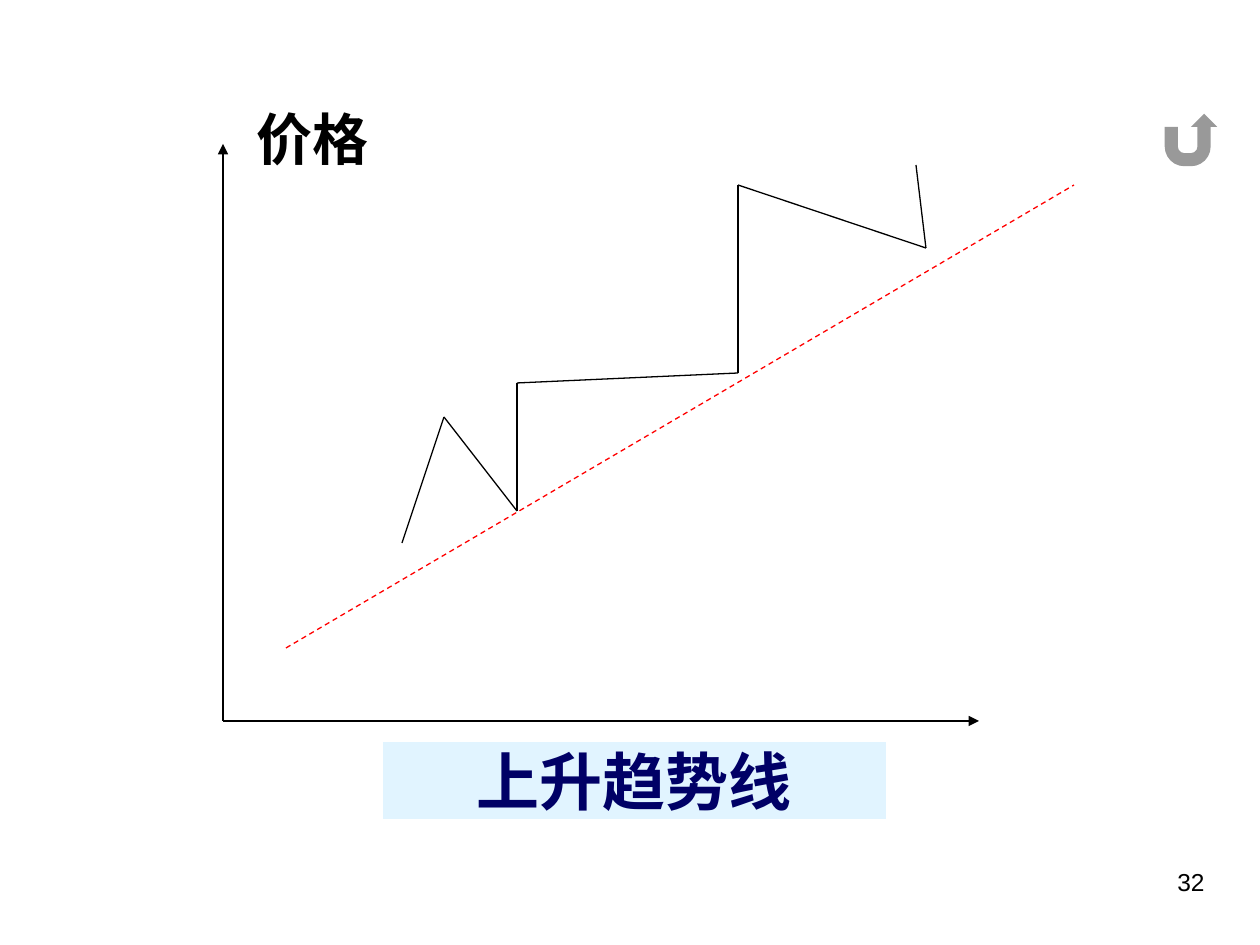
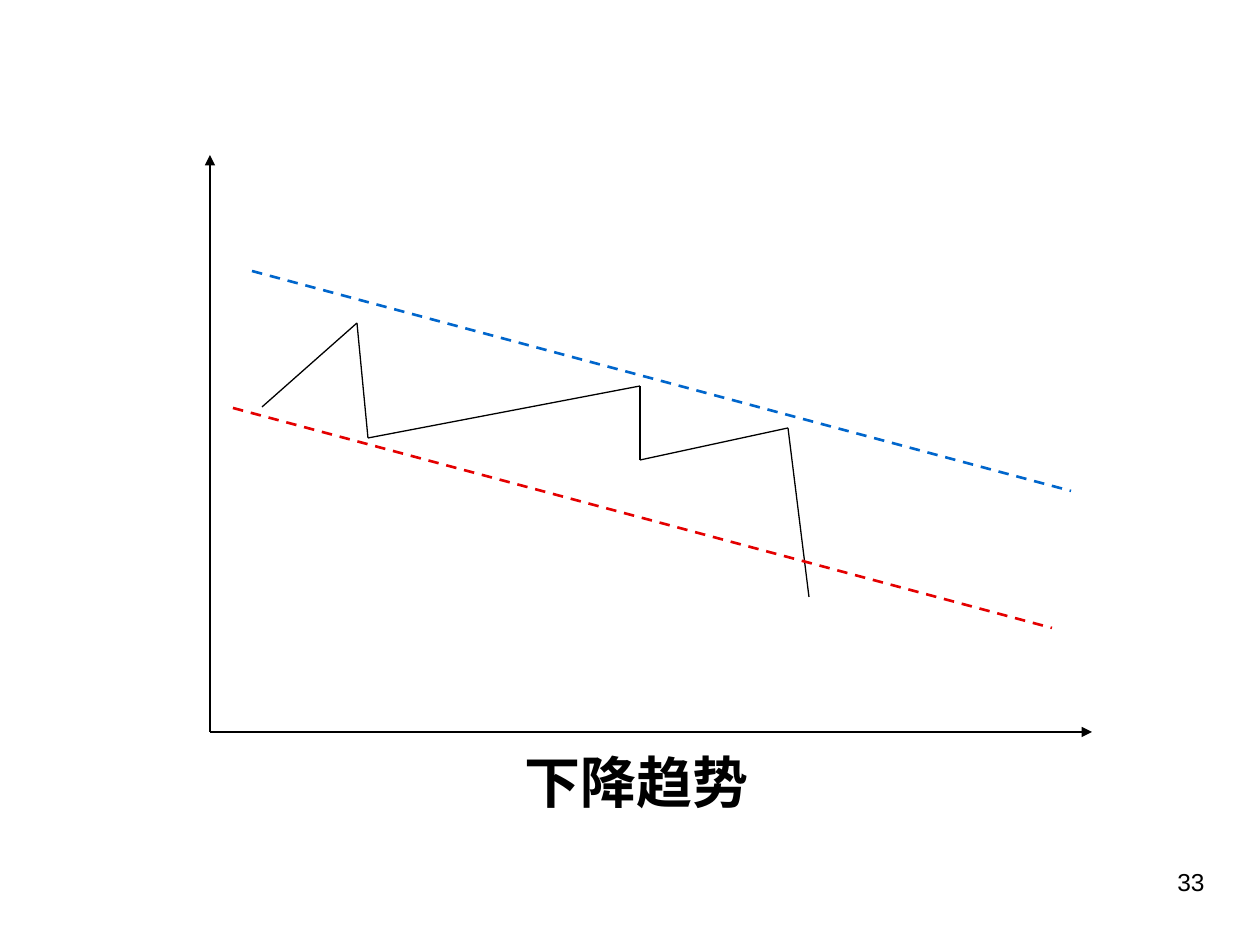
from dataclasses import dataclass
from itertools import pairwise

from lxml import etree
from pptx import Presentation
from pptx.dml.color import RGBColor
from pptx.enum.dml import MSO_LINE
from pptx.enum.shapes import MSO_CONNECTOR, MSO_SHAPE
from pptx.enum.text import MSO_ANCHOR, PP_ALIGN
from pptx.oxml.ns import qn
from pptx.util import Emu, Pt

STRAIGHT = MSO_CONNECTOR.STRAIGHT
RECT = MSO_SHAPE.RECTANGLE
RETURN_BUTTON = MSO_SHAPE.ACTION_BUTTON_RETURN
DASH = MSO_LINE.DASH
LEFT, CENTER, RIGHT = PP_ALIGN.LEFT, PP_ALIGN.CENTER, PP_ALIGN.RIGHT
MIDDLE = MSO_ANCHOR.MIDDLE
PX_PER_INCH = 126


@dataclass(frozen=True)
class Theme:
    ink: str = "000000"
    paper: str = "FFFFFF"
    band: str = "E1F4FF"
    navy: str = "000066"
    trend: str = "FF0000"
    upper: str = "0066CC"
    lower: str = "E40000"
    heading_font: str = "Times New Roman"
    number_font: str = "Arial"
    band_size: int = 36
    label_size: int = 32
    number_size: int = 14
    thin: float = 0.75
    thick: float = 1.5


THEME = Theme()


def px(n):
    return Emu(round(n * 914400 / PX_PER_INCH))


def box_px(box):
    return [px(n) for n in box]


def rgb(color):
    return RGBColor.from_string(color)


def write(tf, text, size, color=THEME.ink, font=THEME.heading_font,
          bold=True, align=LEFT):
    p = tf.paragraphs[0]
    p.text = text
    p.alignment = align
    r = p.runs[0]
    r.font.name = font
    r.font.size = Pt(size)
    r.font.bold = bold
    r.font.color.rgb = rgb(color)
    return p


def add_label(s, box, text, line_spacing=1.0):
    tf = s.shapes.add_textbox(*box_px(box)).text_frame
    tf.word_wrap = True
    write(tf, text, THEME.label_size).line_spacing = line_spacing


def add_page_number(s, number):
    tf = s.shapes.add_textbox(*box_px((902, 861, 315, 66))).text_frame
    tf.word_wrap = True
    write(tf, str(number), THEME.number_size, font=THEME.number_font,
          bold=False, align=RIGHT)


def add_line(s, start, end, color=THEME.ink, width=THEME.thin,
             dash=None, arrow=False):
    line = s.shapes.add_connector(STRAIGHT, *box_px(start + end))
    line.line.color.rgb = rgb(color)
    line.line.width = Pt(width)
    if dash:
        line.line.dash_style = dash
    if arrow:
        etree.SubElement(line.line._get_or_add_ln(), qn("a:tailEnd"),
                         type="triangle")
    etree.SubElement(line._element.spPr, qn("a:effectLst"))


def add_axes(s, origin, right, top):
    x, y = origin
    for end in ((right, y), (x, top)):
        add_line(s, origin, end, arrow=True)


def add_price_path(s, points):
    for start, end in pairwise(points):
        add_line(s, start, end)


def add_title_band(s, box, text):
    sp = s.shapes.add_shape(RECT, *box_px(box))
    sp.shadow.inherit = False
    sp.fill.solid()
    sp.fill.fore_color.rgb = rgb(THEME.band)
    sp.line.color.rgb = rgb(THEME.paper)
    sp.line.width = Pt(THEME.thin)
    tf = sp.text_frame
    tf.word_wrap = False
    tf.vertical_anchor = MIDDLE
    write(tf, text, THEME.band_size, THEME.navy, align=CENTER)


def add_return_button(s, box):
    sp = s.shapes.add_shape(RETURN_BUTTON, *box_px(box))
    sp.shadow.inherit = False
    sp.fill.solid()
    sp.fill.fore_color.rgb = rgb(THEME.paper)
    sp.line.fill.background()


def build_rising_trend(s):
    add_label(s, (244, 106, 179, 79), "价格", line_spacing=0.9)
    add_axes(s, (223, 721), right=979, top=144)
    add_price_path(s, [(402, 543), (444, 417), (517, 511), (517, 383),
                       (738, 373), (738, 185), (926, 248), (916, 165)])
    add_line(s, (286, 648), (1074, 185), THEME.trend, dash=DASH)
    add_title_band(s, (382, 741, 505, 79), "上升趋势线")
    add_return_button(s, (1156, 105, 70, 70))
    add_page_number(s, 32)


def build_falling_trend(s):
    add_label(s, (512, 741, 277, 89), "下降趋势")
    add_axes(s, (210, 732), right=1092, top=155)
    add_price_path(s, [(262, 407), (357, 323), (368, 438), (640, 386),
                       (640, 460), (788, 428), (809, 597)])
    channel = (((252, 271), THEME.upper), ((233, 408), THEME.lower))
    for (x, y), color in channel:
        add_line(s, (x, y), (x + 819, y + 220), color, THEME.thick, DASH)
    add_page_number(s, 33)


def main():
    prs = Presentation()
    prs.slide_width, prs.slide_height = px(1260), px(945)
    blank = prs.slide_layouts[6]
    for build in (build_rising_trend, build_falling_trend):
        build(prs.slides.add_slide(blank))
    prs.save("out.pptx")


if __name__ == "__main__":
    main()
